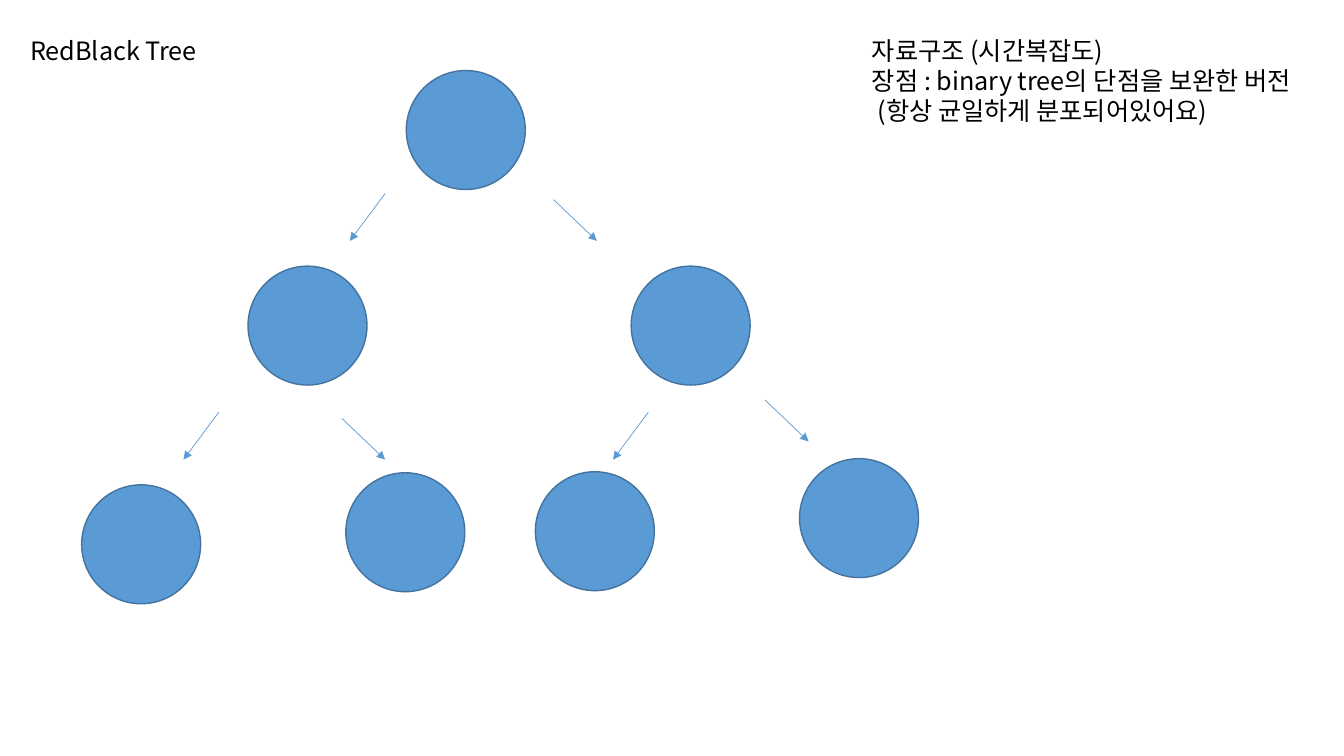
import pptx
import pptx.util
import pptx.dml.color
import pptx.enum.shapes
import pptx.enum.text
import pptx.oxml.ns
import lxml.etree

Inches, Pt = pptx.util.Inches, pptx.util.Pt
Color = pptx.dml.color.RGBColor.from_string
qualified = pptx.oxml.ns.qn

THEME = {
    "font": "Noto Sans CJK KR",
    "text_size": Pt(18),
    "line_pitch": Pt(21.5),
    "text": Color("000000"),
    "node": Color("5B9BD5"),
    "outline": Color("43739E"),
    "outline_width": Pt(1),
    "arrow_width": Pt(0.5),
}

presentation = pptx.Presentation()
presentation.slide_width = Inches(13.33)
presentation.slide_height = Inches(7.5)
slide = presentation.slides.add_slide(presentation.slide_layouts[6])

# Tree nodes, level by level
DIAMETER = 1.18
levels = [
    [(4.03, 0.7)],
    [(2.46, 2.64), (6.26, 2.64)],
    [(0.81, 4.81), (3.43, 4.69), (5.31, 4.68), (7.93, 4.55)],
]
for level in levels:
    for left, top in level:
        node = slide.shapes.add_shape(
            pptx.enum.shapes.MSO_SHAPE.OVAL,
            Inches(left), Inches(top), Inches(DIAMETER), Inches(DIAMETER))
        node.shadow.inherit = False
        node.fill.solid()
        node.fill.fore_color.rgb = THEME["node"]
        node.line.color.rgb = THEME["outline"]
        node.line.width = THEME["outline_width"]

# Arrows to the children: one step per direction, many starting points
branches = [
    ((-0.35, 0.47), [(3.82, 1.92), (2.17, 4.09), (6.43, 4.09)]),
    ((0.43, 0.41), [(5.49, 1.98), (3.39, 4.15), (7.59, 3.97)]),
]
for (step_x, step_y), starts in branches:
    for x, y in starts:
        arrow = slide.shapes.add_connector(
            pptx.enum.shapes.MSO_CONNECTOR.STRAIGHT,
            Inches(x), Inches(y), Inches(x + step_x), Inches(y + step_y))
        arrow.line.color.rgb = THEME["node"]
        arrow.line.width = THEME["arrow_width"]
        properties = arrow._element.spPr
        line = properties.find(qualified("a:ln"))
        lxml.etree.SubElement(line, qualified("a:tailEnd"), type="triangle")
        lxml.etree.SubElement(properties, qualified("a:effectLst"))

# Title and notes on the data structure
captions = [
    ((0.2, 0.3, 1.99, 0.4), "RedBlack Tree"),
    ((8.55, 0.3, 4.62, 1.31),
     "자료구조 (시간복잡도)\n"
     "장점 : binary tree의 단점을 보완한 버전\n"
     " (항상 균일하게 분포되어있어요)"),
]
for box, text in captions:
    caption = slide.shapes.add_textbox(*map(Inches, box))
    text_frame = caption.text_frame
    text_frame.text = text
    text_frame.word_wrap = False
    text_frame.auto_size = pptx.enum.text.MSO_AUTO_SIZE.SHAPE_TO_FIT_TEXT
    for paragraph in text_frame.paragraphs:
        paragraph.line_spacing = THEME["line_pitch"]
        for run in paragraph.runs:
            run.font.name = THEME["font"]
            run.font.size = THEME["text_size"]
            run.font.color.rgb = THEME["text"]
            lxml.etree.SubElement(
                run.font._element, qualified("a:ea"), typeface=THEME["font"])

presentation.save("out.pptx")
